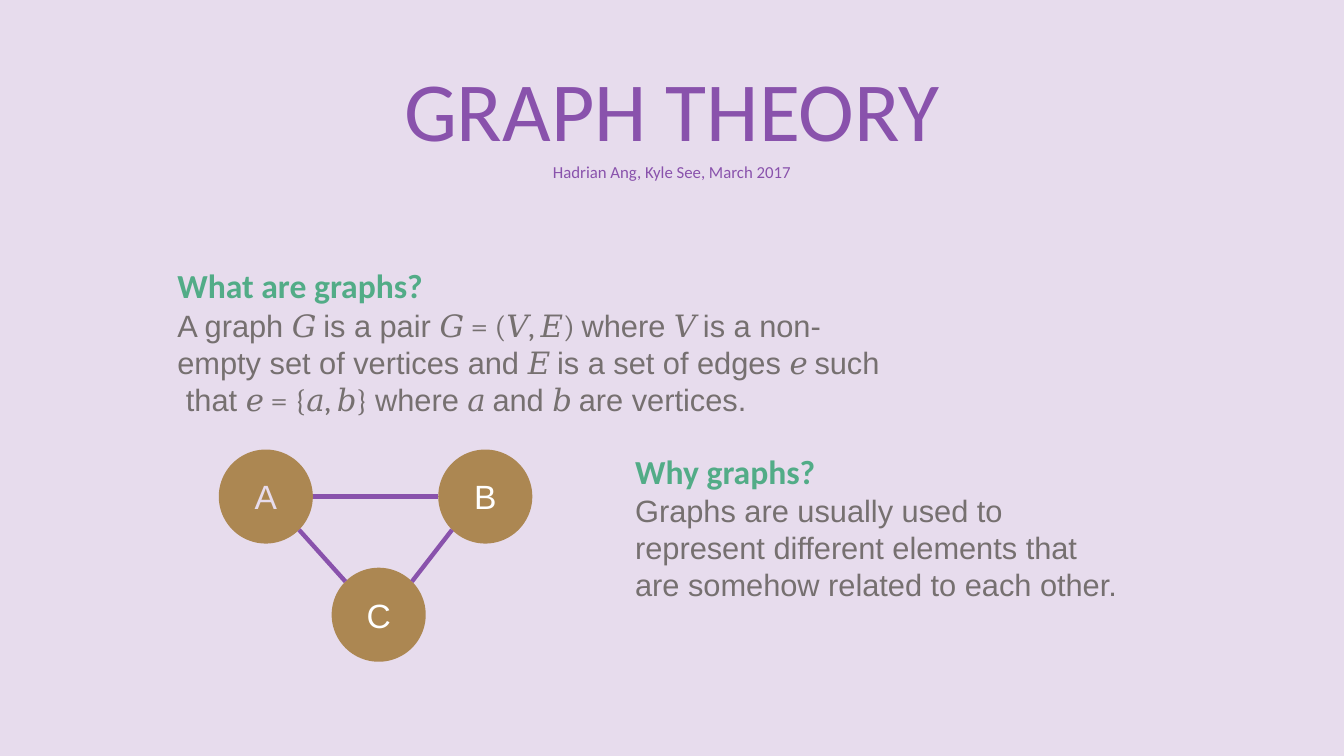
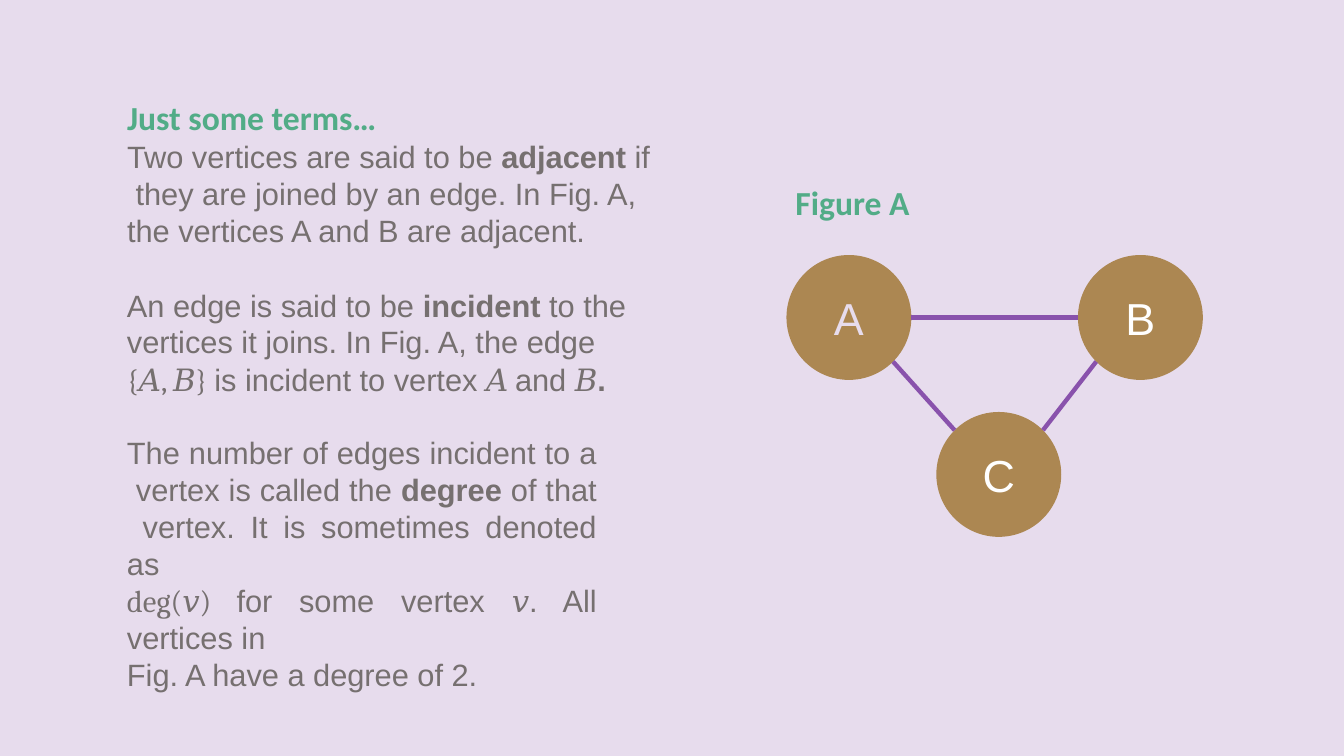
from math import sqrt

from pptx import Presentation
from pptx.dml.color import RGBColor
from pptx.enum.shapes import MSO_CONNECTOR as Connector, MSO_SHAPE as Preset
from pptx.enum.text import MSO_ANCHOR as Anchor, MSO_AUTO_SIZE as AutoSize, PP_ALIGN as Align
from pptx.oxml.ns import qn
from pptx.util import Inches, Pt
from lxml import etree

LILAC = RGBColor(0xE7, 0xDC, 0xED)
PURPLE = RGBColor(0x89, 0x52, 0xAC)
GREEN = RGBColor(0x52, 0xAC, 0x87)
GRAY = RGBColor(0x76, 0x70, 0x70)
BROWN = RGBColor(0xAC, 0x87, 0x52)
WHITE = RGBColor(0xFF, 0xFF, 0xFF)

# Text styles: font, size, colour, bold
STYLES = {
    "title": ("Calibri", 60, PURPLE, False),
    "authors": ("Calibri", 12, PURPLE, False),
    "heading": ("Calibri", 24, GREEN, True),
    "body": ("Arial", 22, GRAY, False),
    "term": ("Arial", 22, GRAY, True),
    "math": ("Cambria", 22, GRAY, False),
}


def add_run(paragraph, text, style):
    """Add one styled run; a newline in the text becomes a line break."""
    name, size, color, bold = style
    for number, line in enumerate(text.split("\n")):
        if number:
            paragraph.add_line_break()
        if line:
            run = paragraph.add_run()
            run.text = line
            font = run.font
            font.name, font.size, font.bold = name, Pt(size), bold
            font.color.rgb = color


def fill_text(shape, box, paragraphs, align=Align.LEFT, inset=0.01):
    """Place a text shape; each paragraph is (space before, runs)."""
    shape.left, shape.top, shape.width, shape.height = map(Inches, box)
    frame = shape.text_frame
    frame.word_wrap = True
    frame.auto_size = AutoSize.NONE
    frame.vertical_anchor = Anchor.TOP
    frame.margin_left = frame.margin_right = frame.margin_bottom = 0
    frame.margin_top = Inches(inset)
    for number, (space, runs) in enumerate(paragraphs):
        paragraph = frame.add_paragraph() if number else frame.paragraphs[0]
        paragraph.alignment = align
        paragraph.space_before = Pt(space)
        for text, style in runs:
            add_run(paragraph, text, STYLES[style])


def add_text(slide, box, paragraphs, align=Align.LEFT):
    fill_text(slide.shapes.add_textbox(0, 0, 0, 0), box, paragraphs, align)


def section(heading, runs):
    """Paragraphs of a green heading with its body below."""
    return [(1, [(heading, "heading")]), (0.8, runs)]


def add_edge(slide, start, end):
    edge = slide.shapes.add_connector(
        Connector.STRAIGHT, *map(Inches, (*start, *end)))
    edge.line.color.rgb = PURPLE
    edge.line.width = Pt(3.12)
    etree.SubElement(edge._element.spPr, qn("a:effectLst"))


def add_graph(slide, left, top, width, label_size):
    """Triangle graph A, B, C; all parts are shares of its width."""
    size = 0.3 * width
    radius = size / 2
    corners = {
        "A": (left, top, LILAC),
        "B": (left + 0.7 * width, top, WHITE),
        "C": (left + 0.36 * width, top + 0.377 * width, WHITE),
    }

    # Vertices
    for label, (x, y, color) in corners.items():
        vertex = slide.shapes.add_shape(
            Preset.OVAL, *map(Inches, (x, y, size, size)))
        vertex.shadow.inherit = False
        vertex.fill.solid()
        vertex.fill.fore_color.rgb = BROWN
        vertex.line.fill.background()
        frame = vertex.text_frame
        frame.vertical_anchor = Anchor.MIDDLE
        frame.margin_left = frame.margin_right = 0
        frame.margin_top = frame.margin_bottom = 0
        frame.paragraphs[0].alignment = Align.CENTER
        add_run(frame.paragraphs[0], label, ("Arial", label_size, color, False))

    # Edges, from rim to rim
    def rim(label, across, down):
        x, y, _ = corners[label]
        return x + radius * (1 + across), y + radius * (1 + down)

    slant = 1 / sqrt(2)
    add_edge(slide, rim("A", 1, 0), rim("B", -1, 0))
    add_edge(slide, rim("A", slant, slant), rim("C", -slant, -slant))
    add_edge(slide, rim("B", -slant, slant), rim("C", slant, -slant))


def build_intro(slide):
    # Title and authors
    fill_text(slide.shapes.title, (3.99, 0.38, 5.35, 1.43), [
        (13.3, [("GRAPH THEORY", "title")]),
        (2.5, [("Hadrian Ang, Kyle See, March 2017", "authors")]),
    ], Align.CENTER, 0.19)

    # Definition
    add_text(slide, (1.76, 2.62, 7.2, 1.54), section("What are graphs?", [
        ("A graph ", "body"), ("𝐺 ", "math"), ("is a pair ", "body"),
        ("𝐺 = (𝑉, 𝐸) ", "math"), ("where ", "body"), ("𝑉 ", "math"),
        ("is a non-\nempty set of vertices and ", "body"), ("𝐸 ", "math"),
        ("is a set of edges ", "body"), ("𝑒 ", "math"),
        ("such\n that ", "body"), ("𝑒 = {𝑎, 𝑏} ", "math"),
        ("where ", "body"), ("𝑎 ", "math"), ("and ", "body"),
        ("𝑏 ", "math"), ("are vertices.", "body"),
    ]))

    add_graph(slide, 2.17, 4.46, 3.11, 24)

    # Purpose
    add_text(slide, (6.3, 4.46, 5, 1.54), section("Why graphs?", [
        ("Graphs are usually used to\nrepresent different elements that\n"
         "are somehow related to each other.", "body"),
    ]))


def build_terms(slide):
    # Adjacent
    fill_text(slide.shapes.title, (1.26, 0.95, 5.4, 1.54), section("Just some terms…", [
        ("Two vertices are said to be ", "body"), ("adjacent ", "term"),
        ("if\n they are joined by an edge. In Fig. A,\n"
         "the vertices A and B are adjacent.", "body"),
    ]))

    # Incident
    add_text(slide, (1.26, 2.83, 5.2, 1.13), [
        (1.1, [("An edge is said to be ", "body"), ("incident ", "term"),
               ("to the", "body")]),
        (0, [("vertices it joins. In Fig. A, the edge", "body")]),
        (0.1, [("{𝐴, 𝐵} ", "math"), ("is incident to vertex ", "body"),
               ("𝐴 ", "math"), ("and ", "body"), ("𝐵", "math"), (".", "term")]),
    ])

    # Degree
    add_text(slide, (1.26, 4.29, 4.66, 2.6), [
        (1.1, [("The number of edges incident to a\n vertex is called the ", "body"),
               ("degree ", "term"),
               ("of that\n vertex. It is sometimes denoted as", "body")]),
        (0.1, [("deg(𝑣) ", "math"), ("for some vertex ", "body"),
               ("𝑣", "math"), (". All vertices in", "body")]),
        (0, [("Fig. A have a degree of 2.", "body")]),
    ], Align.JUSTIFY)

    # Figure
    add_graph(slide, 7.8, 2.53, 4.13, 32)
    add_text(slide, (7.89, 1.79, 1.4, 0.43), [(1, [("Figure A", "heading")])])


def main():
    presentation = Presentation()
    presentation.slide_width = Inches(13.33)
    presentation.slide_height = Inches(7.5)
    background = presentation.slide_master.background.fill
    background.solid()
    background.fore_color.rgb = LILAC

    title_only = presentation.slide_layouts[5]
    for build in (build_intro, build_terms):
        build(presentation.slides.add_slide(title_only))
    presentation.save("out.pptx")


if __name__ == "__main__":
    main()
